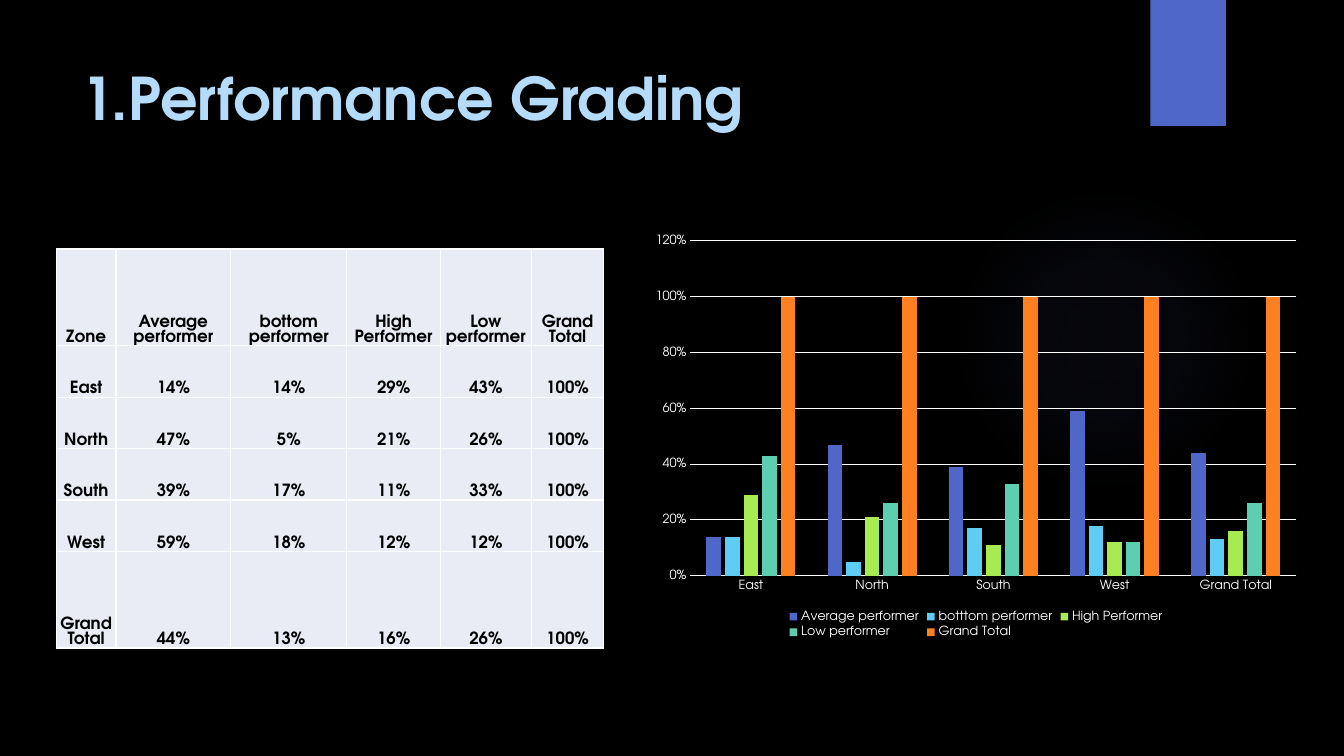
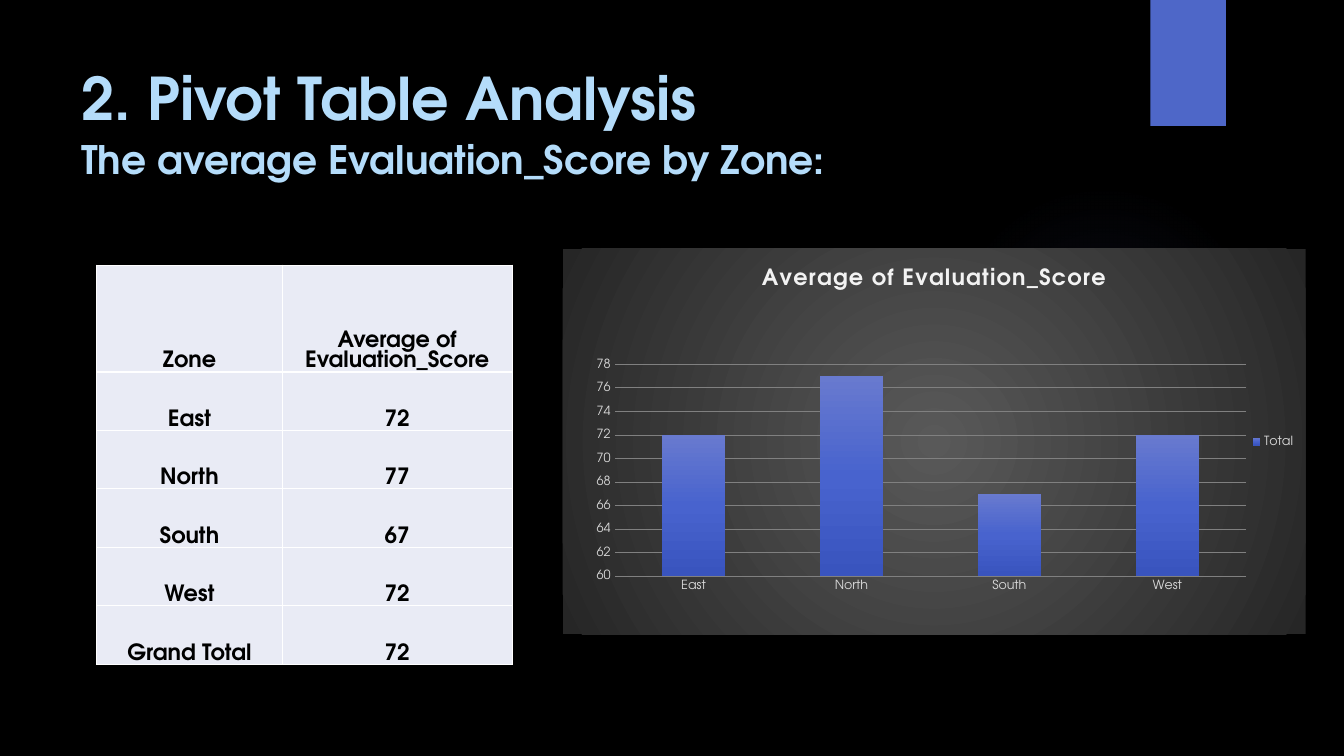
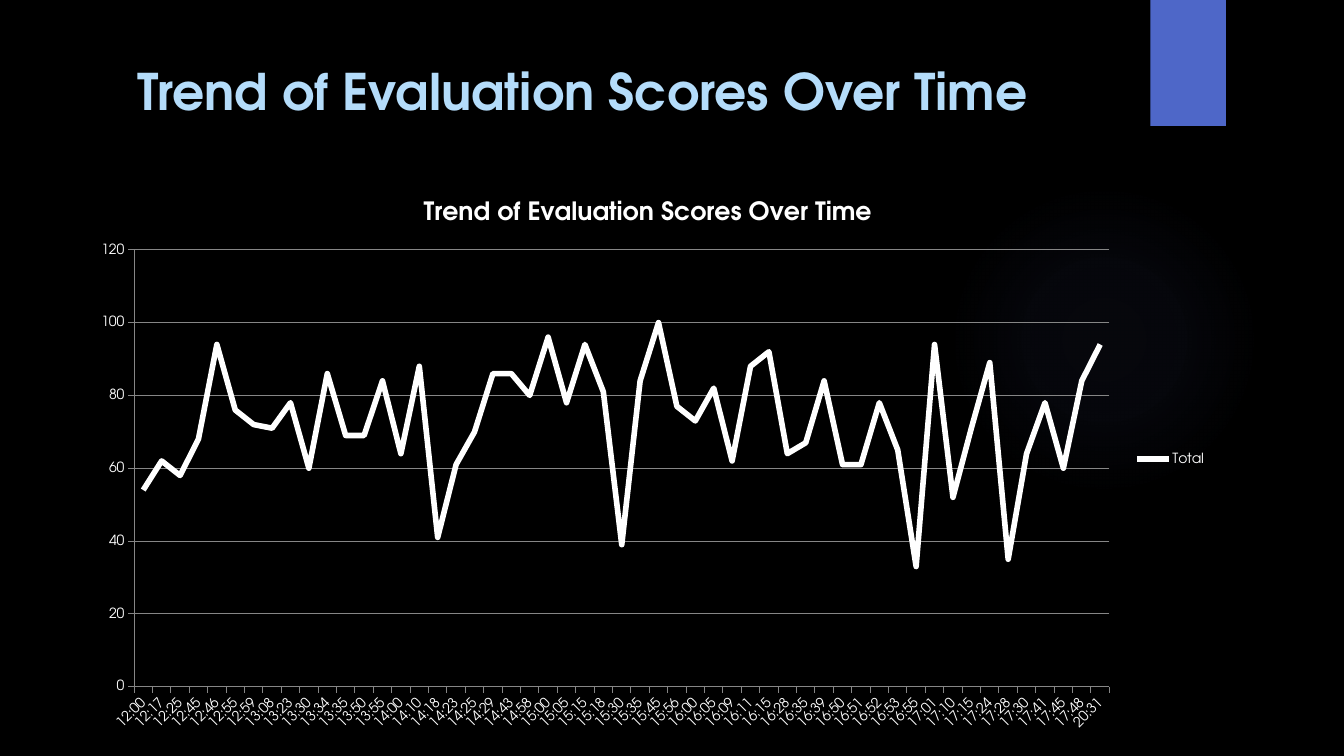
import lxml.etree
import pptx
import pptx.chart.data
import pptx.dml.color
import pptx.enum.chart
import pptx.enum.shapes
import pptx.enum.text
import pptx.oxml
import pptx.oxml.ns
import pptx.util

Inches = pptx.util.Inches
Pt = pptx.util.Pt
qn = pptx.oxml.ns.qn
ChartType = pptx.enum.chart.XL_CHART_TYPE
Legend = pptx.enum.chart.XL_LEGEND_POSITION
Tick = pptx.enum.chart.XL_TICK_MARK

FONT = "TeX Gyre Adventor"
BLACK, WHITE = "000000", "FFFFFF"
BLUE, SKY = "4E67C8", "B4DCFA"
CELL, PALE, GREY = "E9EBF5", "D9D9D9", "868686"
SERIES_COLOURS = [BLUE, "5ECCF3", "A7EA52", "5DCEAF", "FF8021"]

GRADING = [
    ["Zone", "Average performer", "bottom performer", "High Performer", "Low performer", "Grand Total"],
    ["East", "14%", "14%", "29%", "43%", "100%"],
    ["North", "47%", "5%", "21%", "26%", "100%"],
    ["South", "39%", "17%", "11%", "33%", "100%"],
    ["West", "59%", "18%", "12%", "12%", "100%"],
    ["Grand Total", "44%", "13%", "16%", "26%", "100%"],
]
ZONE_SCORES = [
    ["Zone", "Average of Evaluation_Score"],
    ["East", "72"], ["North", "77"], ["South", "67"], ["West", "72"],
    ["Grand Total", "72"],
]
TIMES = """12:00 12:17 12:25 12:45 12:46 12:55 12:59 13:08 13:23 13:30 13:34 13:35 13:50 13:55
14:00 14:10 14:18 14:23 14:25 14:29 14:43 14:58 15:00 15:05 15:15 15:18 15:30 15:35 15:45 15:56
16:00 16:05 16:09 16:11 16:15 16:28 16:35 16:39 16:50 16:51 16:52 16:53 16:55 17:01 17:10 17:15
17:24 17:28 17:30 17:41 17:45 17:48 20:31""".split()
TREND = [54, 62, 58, 68, 94, 76, 72, 71, 78, 60, 86, 69, 69, 84, 64, 88, 41, 61,
         70, 86, 86, 80, 96, 78, 94, 81, 39, 84, 100, 77, 73, 82, 62, 88, 92, 64,
         67, 84, 61, 61, 78, 65, 33, 94, 52, 71, 89, 35, 64, 78, 60, 84, 94]


def colour(value):
    return pptx.dml.color.RGBColor.from_string(value)


def format_font(font, size, shade, bold=False):
    font.name, font.size, font.bold = FONT, Pt(size), bold
    font.color.rgb = colour(shade)


def write(paragraph, text, size=12, shade=BLACK, bold=True, align=None, leading=None):
    """Add text to a paragraph; leading is a multiple of the size."""
    span = paragraph.add_run()
    span.text = text
    format_font(span.font, size, shade, bold)
    paragraph.alignment = align
    if leading:
        paragraph.line_spacing = Pt(round(size * leading, 1))
    return span


def paint_gradient(properties, stops, angle=None):
    """Replace the empty fill with (position, colour, opacity) stops, radial without an angle."""
    gradient = lxml.etree.Element(qn("a:gradFill"), rotWithShape="1")
    stop_list = lxml.etree.SubElement(gradient, qn("a:gsLst"))
    for position, shade, opacity in stops:
        stop = lxml.etree.SubElement(stop_list, qn("a:gs"), pos=str(position * 1000))
        tone = lxml.etree.SubElement(stop, qn("a:srgbClr"), val=shade)
        if opacity < 100:
            lxml.etree.SubElement(tone, qn("a:alpha"), val=str(opacity * 1000))
    if angle is None:
        radial = lxml.etree.SubElement(gradient, qn("a:path"), path="circle")
        centre = dict.fromkeys("ltrb", "50000")
        lxml.etree.SubElement(radial, qn("a:fillToRect"), **centre)
    else:
        lxml.etree.SubElement(gradient, qn("a:lin"), ang=str(angle * 60000), scaled="0")
    properties.replace(properties.find(qn("a:noFill")), gradient)


def add_plain_shape(page, kind, left, top, width, height):
    shape = page.shapes.add_shape(kind, Inches(left), Inches(top), Inches(width), Inches(height))
    shape.shadow.inherit = False
    shape.line.fill.background()
    return shape


def add_page(deck, title_lines, indent=0):
    """Add a slide with the shared backdrop and a title of (text, size) lines."""
    page = deck.slides.add_slide(deck.slide_layouts[6])
    page.background.fill.solid()
    page.background.fill.fore_color.rgb = colour(BLACK)
    kinds = pptx.enum.shapes.MSO_SHAPE
    glow = add_plain_shape(page, kinds.OVAL, 9.41, 1.83, 3.08, 3.08)
    glow.fill.background()
    paint_gradient(glow._element.spPr, [(0, "5968B0", 7), (36, "5968B0", 6), (69, "5968B0", 0)])
    band = add_plain_shape(page, kinds.RECTANGLE, 11.41, 0, 0.75, 1.25)
    band.fill.solid()
    band.fill.fore_color.rgb = colour(BLUE)

    box = page.shapes.add_textbox(Inches(0.71), Inches(0.5), Inches(10.29), Inches(1.53))
    frame = box.text_frame
    frame.word_wrap = True
    frame.margin_left = Inches(0.1 + indent)
    for number, (text, size) in enumerate(title_lines):
        paragraph = frame.add_paragraph() if number else frame.paragraphs[0]
        write(paragraph, text, size=size, shade=SKY, leading=1.3)
    return page


def border_cell(cell):
    properties = cell._tc.get_or_add_tcPr()
    for index, side in enumerate(("a:lnL", "a:lnR", "a:lnT", "a:lnB")):
        line = lxml.etree.Element(qn(side), w=str(Pt(1)))
        fill = lxml.etree.SubElement(line, qn("a:solidFill"))
        lxml.etree.SubElement(fill, qn("a:srgbClr"), val=WHITE)
        properties.insert(index, line)


def add_grid(page, rows, left, top, widths, heights, size):
    frame = page.shapes.add_table(len(rows), len(widths), Inches(left), Inches(top),
                                  Inches(sum(widths)), Inches(sum(heights)))
    table = frame.table
    table.first_row = table.horz_banding = False
    for column, width in zip(table.columns, widths):
        column.width = Inches(width)
    for row, height, texts in zip(table.rows, heights, rows):
        row.height = Inches(height)
        for cell, text in zip(row.cells, texts):
            cell.fill.solid()
            cell.fill.fore_color.rgb = colour(CELL)
            cell.margin_left = cell.margin_right = cell.margin_top = Inches(0.01)
            cell.margin_bottom = 0
            cell.vertical_anchor = pptx.enum.text.MSO_ANCHOR.BOTTOM
            write(cell.text_frame.paragraphs[0], text, size=size, leading=0.89,
                  align=pptx.enum.text.PP_ALIGN.CENTER)
            border_cell(cell)


def format_axis(axis, size, shade, line=None, tick=Tick.NONE):
    axis.major_tick_mark, axis.minor_tick_mark = tick, Tick.NONE
    format_font(axis.tick_labels.font, size, shade)
    if line:
        axis.format.line.color.rgb = colour(line)
        axis.format.line.width = Pt(0.75)
    else:
        axis.format.line.fill.background()


def add_graph(page, kind, place, categories, series, scale, legend, size=9, shade=WHITE,
              grid=WHITE, category_line=None, value_line=None, tick=Tick.NONE,
              number_format="General"):
    """Add a chart; series maps names to values, scale is (low, high, step)."""
    data = pptx.chart.data.CategoryChartData(number_format=number_format)
    data.categories = categories
    for name, values in series.items():
        data.add_series(name, values)
    chart = page.shapes.add_chart(kind, *map(Inches, place), data).chart
    format_font(chart.font, 10, WHITE)
    chart.has_title = False
    chart.plots[0].vary_by_categories = False
    chart.has_legend = True
    chart.legend.position = legend
    chart.legend.include_in_layout = False
    format_font(chart.legend.font, size, shade)
    format_axis(chart.category_axis, size, shade, category_line, tick)
    axis = chart.value_axis
    format_axis(axis, size, shade, value_line, tick)
    axis.minimum_scale, axis.maximum_scale, axis.major_unit = scale
    axis.tick_labels.number_format = number_format
    axis.tick_labels.number_format_is_linked = False
    axis.has_major_gridlines = True
    axis.major_gridlines.format.line.color.rgb = colour(grid)
    axis.major_gridlines.format.line.width = Pt(0.75)
    return chart


def set_chart_title(chart, text, size, shade=WHITE, spacing=0):
    chart.has_title = True
    chart.chart_title.include_in_layout = False
    span = write(chart.chart_title.text_frame.paragraphs[0], text, size=size, shade=shade)
    if spacing:
        span.font._element.set("spc", str(spacing * 100))


def paint_chart_area(chart, stops):
    properties = pptx.oxml.parse_xml(
        f'<c:spPr {pptx.oxml.ns.nsdecls("c", "a")}><a:noFill/><a:ln><a:noFill/></a:ln></c:spPr>')
    paint_gradient(properties, stops)
    chart._chartSpace.find(qn("c:txPr")).addprevious(properties)


def place_plot(chart, x, y, width, height):
    """Fix the inner plot area, in fractions of the chart."""
    area = chart._chartSpace.chart.plotArea
    for old in area.findall(qn("c:layout")):
        area.remove(old)
    layout = lxml.etree.Element(qn("c:layout"))
    manual = lxml.etree.SubElement(layout, qn("c:manualLayout"))
    settings = dict(layoutTarget="inner", xMode="edge", yMode="edge", x=x, y=y, w=width, h=height)
    for name, value in settings.items():
        lxml.etree.SubElement(manual, qn("c:" + name), val=str(value))
    area.insert(0, layout)


def build_grading(deck):
    page = add_page(deck, [("1.Performance Grading", 42)])
    add_grid(page, GRADING, 0.56, 2.47, [0.59, 1.14, 1.15, 0.93, 0.9, 0.72],
             [0.96] + [0.51] * 4 + [0.96], size=12)
    names = ["Average performer", "botttom performer", "High Performer", "Low performer", "Grand Total"]
    zones, *columns = zip(*GRADING[1:])
    series = {name: [int(text.rstrip("%")) / 100 for text in column]
              for name, column in zip(names, columns)}
    chart = add_graph(page, ChartType.COLUMN_CLUSTERED, (6.37, 2.25, 6.62, 4.12), zones, series,
                      (0, 1.2, 0.2), Legend.BOTTOM, category_line=WHITE, number_format="0%")
    plot = chart.plots[0]
    plot.gap_width, plot.overlap = 219, -27
    for bars, shade in zip(plot.series, SERIES_COLOURS):
        bars.format.fill.solid()
        bars.format.fill.fore_color.rgb = colour(shade)


def build_zone_scores(deck):
    page = add_page(deck, [("2. Pivot Table Analysis", 42),
                           ("The average Evaluation_Score by Zone:", 28)])
    add_grid(page, ZONE_SCORES, 0.96, 2.63, [1.84, 2.28], [1.06] + [0.58] * 5, size=16)
    zones, scores = zip(*ZONE_SCORES[1:-1])
    chart = add_graph(page, ChartType.COLUMN_STACKED, (5.58, 2.47, 7.37, 3.82), zones,
                      {"Total": [int(score) for score in scores]}, (60, 78, 2), Legend.RIGHT,
                      shade=PALE, grid="808080")
    set_chart_title(chart, "Average of Evaluation_Score", 16, shade="F2F2F2", spacing=1)
    paint_chart_area(chart, [(0, "595959", 100), (100, "262626", 100)])
    place_plot(chart, 0.07, 0.3, 0.85, 0.55)
    plot = chart.plots[0]
    plot.gap_width, plot.overlap = 150, 100
    bars = plot.series[0]
    bars.format.fill.background()
    paint_gradient(bars._element.spPr,
                   [(0, "687ACF", 100), (50, "4863CE", 100), (100, "3954BE", 100)], angle=90)


def build_trend(deck):
    heading = "Trend of Evaluation Scores Over Time"
    page = add_page(deck, [(heading, 36)], indent=0.55)
    chart = add_graph(page, ChartType.LINE_STACKED, (0.78, 1.76, 11.29, 5.59), TIMES,
                      {"Total": TREND}, (0, 120, 20), Legend.RIGHT, size=10, grid=GREY,
                      category_line=GREY, value_line=GREY, tick=Tick.OUTSIDE)
    set_chart_title(chart, heading, 18)
    chart.category_axis._element.find(qn("c:txPr")).find(qn("a:bodyPr")).set("rot", "-2700000")
    line = chart.plots[0].series[0]
    line.smooth = False
    line.marker.style = pptx.enum.chart.XL_MARKER_STYLE.NONE
    line.format.line.color.rgb = colour(WHITE)
    line.format.line.width = Pt(4)


def main():
    deck = pptx.Presentation()
    deck.slide_width, deck.slide_height = Inches(13.33), Inches(7.5)
    build_grading(deck)
    build_zone_scores(deck)
    build_trend(deck)
    deck.save("out.pptx")


if __name__ == "__main__":
    main()
